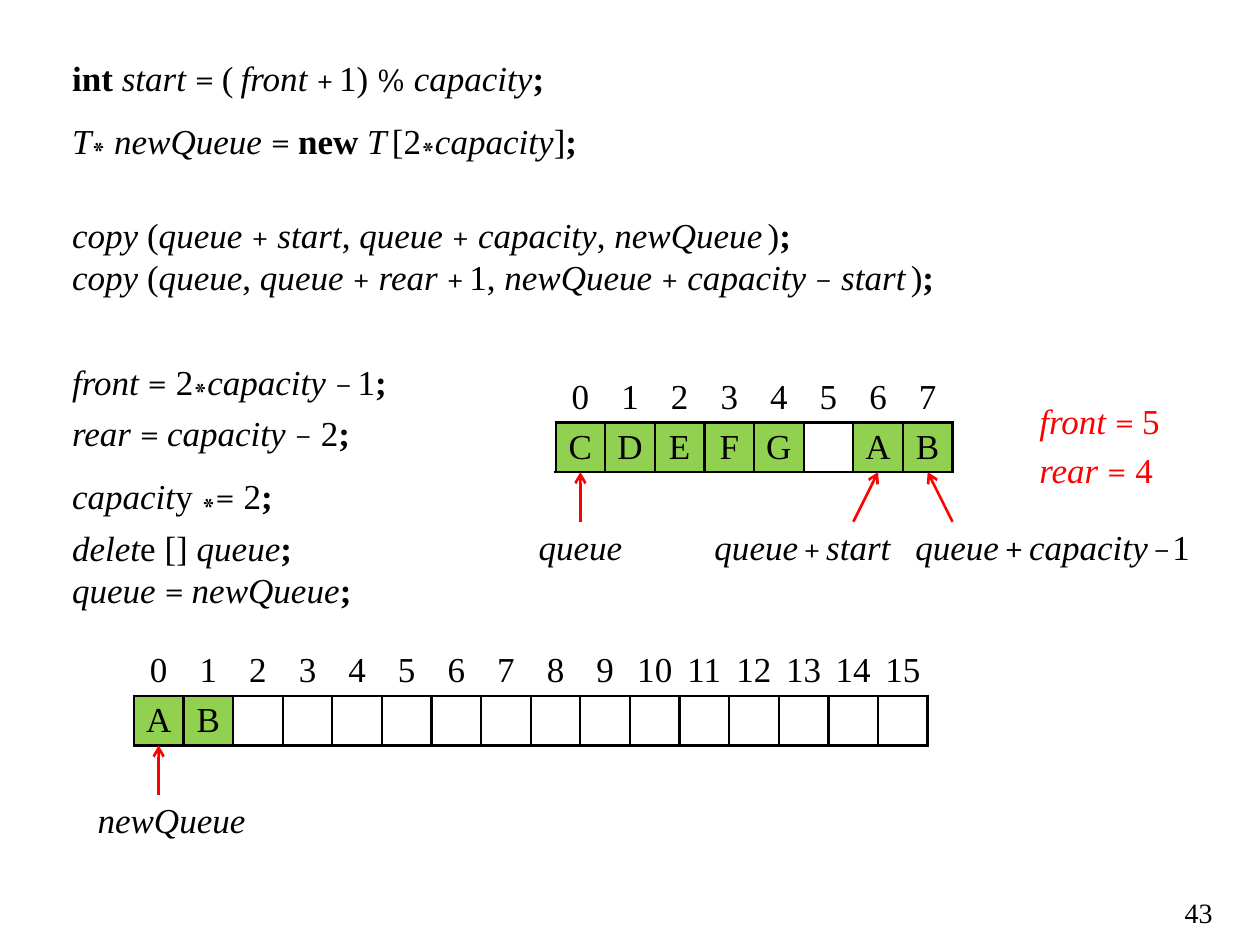
from lxml import etree
from pptx import Presentation
from pptx.dml.color import RGBColor
from pptx.enum.shapes import MSO_CONNECTOR
from pptx.enum.text import MSO_ANCHOR, MSO_AUTO_SIZE, PP_ALIGN
from pptx.oxml import parse_xml
from pptx.oxml.ns import nsdecls, qn
from pptx.util import Pt

LEFT, MID, RIGHT = PP_ALIGN.LEFT, PP_ALIGN.CENTER, PP_ALIGN.RIGHT
TOP, CENTRE, BASE = MSO_ANCHOR.TOP, MSO_ANCHOR.MIDDLE, MSO_ANCHOR.BOTTOM
LINE = MSO_CONNECTOR.STRAIGHT
BLACK, RED, GREEN, WHITE = "000000", "FF0000", "92D050", "FFFFFF"
ROMAN, MATH = "Times New Roman", "Cambria"
UNIT = 28.35  # side of a queue cell

# Styles of the runs; a digit after the key is letter spacing in points
STYLES = {
    "r": dict(name=ROMAN, size=Pt(20), bold=False, italic=False),
    "i": dict(name=ROMAN, size=Pt(20), bold=False, italic=True),
    "b": dict(name=ROMAN, size=Pt(20), bold=True, italic=False),
    "c": dict(name=MATH, size=Pt(20), bold=False, italic=False),
    "s": dict(name=MATH, size=Pt(18), bold=False, italic=False),
    "x": dict(name=MATH, size=Pt(32), bold=False, italic=False),
    "n": dict(name=ROMAN, size=Pt(16), bold=False, italic=False),
}

# Code lines: space before, runs as style:text
CODE = [
    (0, "b:int |i:start |c:= |r4:(|i:front |s3:+|r:1) |s:%|r: |i:capacity|b:;"),
    (0, "i:T|x:*|r: |i:newQueue |c:= |b:new |i3:T|r:[2|x:*|i:capacity|r:]|b:;"),
    (24, "i:copy|r: (|i:queue |s:+|r: |i:start|r:, |i:queue |s:+|r: |i:capacity"
         "|r:, |i:newQueu|i3:e|r:)|b:;"),
    (0, "i:copy|r: (|i:queue|r:, |i:queue |s:+|r: |i:rear |s3:+|r:1, |i:newQueue "
        "|s:+|r: |i:capacity |s:−|r: |i:star|i3:t|r:)|b:;"),
    (24, "i:front |c:=|r: 2|x:*|i:capacity |s3:−|r:1|b:;"),
    (0, "i:rear |c:= |i:capacity |s:−|r: 2|b:;"),
    (0, "i:capacit|r:y |x:*|c:=|r: 2|b:;"),
    (0, "i:delet|r:e [] |i:queue|b:;"),
    (0, "i:queue |c:= |i:newQueue|b:;"),
]
STATE = [(0, "i:front |c:= |r:5"), (4, "i:rear |c:=|r: 4")]

# Queues: left, top, cells, arrows (column, shift of the foot in cells),
# labels (shift and width in cells, side margins, alignment, runs)
QUEUES = [
    (317.5, 213.1, "CDEFG AB", [(0, 0), (6, -0.5), (7, 0.5)], [
        (-0.5, 2, 2.9, MID, "i:queue"),
        (2.5, 4.5, 7.2, RIGHT, "i:queu|i3:e|s3:+|i:start"),
        (7, 6.5, 7.2, LEFT, "i:queu|i3:e|c3:+|i:capacit|i3:y|s1:−|r:1"),
    ]),
    (76.5, 369.3, "AB" + " " * 14, [(0, 0)], [
        (-1.5, 4, 7.2, RIGHT, "i:newQueue"),
    ]),
]


def paint(hue):
    return RGBColor.from_string(hue)


def write(frame, lines, hue=BLACK, align=LEFT, anchor=TOP, side=7.2):
    """Fill a text frame with paragraphs of styled runs."""
    form = dict(word_wrap=True, auto_size=MSO_AUTO_SIZE.NONE,
                vertical_anchor=anchor, margin_left=Pt(side),
                margin_right=Pt(side), margin_top=Pt(3.6), margin_bottom=Pt(3.6))
    for key, val in form.items():
        setattr(frame, key, val)
    for n, (gap, text) in enumerate(lines):
        para = frame.add_paragraph() if n else frame.paragraphs[0]
        para.alignment, para.space_before = align, Pt(gap)
        for part in text.split("|"):
            code, words = part.split(":", 1)
            run = para.add_run()
            run.text = words
            for key, val in STYLES[code[0]].items():
                setattr(run.font, key, val)
            run.font.color.rgb = paint(hue)
            prop = run._r.get_or_add_rPr()
            if code[1:]:
                prop.set("spc", str(int(code[1:]) * 100))
            if code == "x":
                prop.set("baseline", "-18000")


def label(slide, x, y, w, h, lines, **form):
    box = slide.shapes.add_textbox(Pt(x), Pt(y), Pt(w), Pt(h))
    write(box.text_frame, lines, **form)


def edge(cell, sides):
    prop = cell._tc.get_or_add_tcPr()
    for side in sides:
        prop.append(parse_xml(
            f'<a:ln{side} {nsdecls("a")} w="19050"><a:solidFill>'
            f'<a:srgbClr val="{BLACK}"/></a:solidFill></a:ln{side}>'))


def grid(slide, x, y, items):
    """Draw a queue: index row above, boxed items below."""
    size = len(items)
    table = slide.shapes.add_table(
        2, size, Pt(x), Pt(y), Pt(size * UNIT), Pt(2 * UNIT)).table
    table.first_row = table.horz_banding = False
    for line in (*table.columns,):
        line.width = Pt(UNIT)
    for line in table.rows:
        line.height = Pt(UNIT)
    for col, item in enumerate(items):
        for row, text in enumerate((str(col), item.strip())):
            cell = table.cell(row, col)
            cell.vertical_anchor = CENTRE
            cell.margin_left = cell.margin_right = 0
            cell.margin_top = cell.margin_bottom = 0
            edge(cell, "LRTB" if row else "B")
            if row:
                cell.fill.solid()
                cell.fill.fore_color.rgb = paint(GREEN if text else WHITE)
            else:
                cell.fill.background()
            para = cell.text_frame.paragraphs[0]
            para.alignment = MID
            for key, val in STYLES["r"].items():
                setattr(para.font, key, val)
            para.font.color.rgb = paint(BLACK)
            if text:
                run = para.add_run()
                run.text = text
                for key, val in STYLES["r"].items():
                    setattr(run.font, key, val)
                run.font.color.rgb = paint(BLACK)


def arrow(slide, x, y, shift):
    """Point up at (x, y) from one cell below."""
    line = slide.shapes.add_connector(
        LINE, Pt(x + shift * UNIT), Pt(y + UNIT), Pt(x), Pt(y))
    line.line.color.rgb = paint(RED)
    line.line.width = Pt(1.5)
    etree.SubElement(line.line._get_or_add_ln(), qn("a:tailEnd"), type="arrow")
    etree.SubElement(line._element.spPr, qn("a:effectLst"))


def main():
    deck = Presentation()
    deck.slide_width, deck.slide_height = Pt(720), Pt(540)
    slide = deck.slides.add_slide(deck.slide_layouts[1])
    title = slide.shapes.title._element
    title.getparent().remove(title)

    # Code
    body = slide.placeholders[1]
    body.left, body.top, body.width, body.height = Pt(34), Pt(28.8), Pt(524), Pt(284)
    write(body.text_frame, CODE)
    for para in body.text_frame.paragraphs:
        prop = para._p.get_or_add_pPr()
        prop.set("marL", "0")
        prop.set("indent", "0")
        etree.SubElement(prop, qn("a:buNone"))

    # Queues with their arrows and labels
    for x, y, items, arrows, labels in QUEUES:
        grid(slide, x, y, items)
        for col, shift in arrows:
            arrow(slide, x + (col + 0.5) * UNIT, y + 2 * UNIT, shift)
        for shift, wide, side, align, text in labels:
            label(slide, x + shift * UNIT, y + 3 * UNIT, wide * UNIT, UNIT,
                  [(0, text)], align=align, anchor=CENTRE, side=side)

    # State of the queue and page number
    x, y = QUEUES[0][:2]
    label(slide, x + 9.5 * UNIT, y + UNIT / 2, 3.5 * UNIT, 2 * UNIT, STATE,
          hue=RED, anchor=BASE)
    label(slide, 666, 508.3, 34, 23, [(0, "n:43")], align=RIGHT)
    deck.save("out.pptx")


if __name__ == "__main__":
    main()
